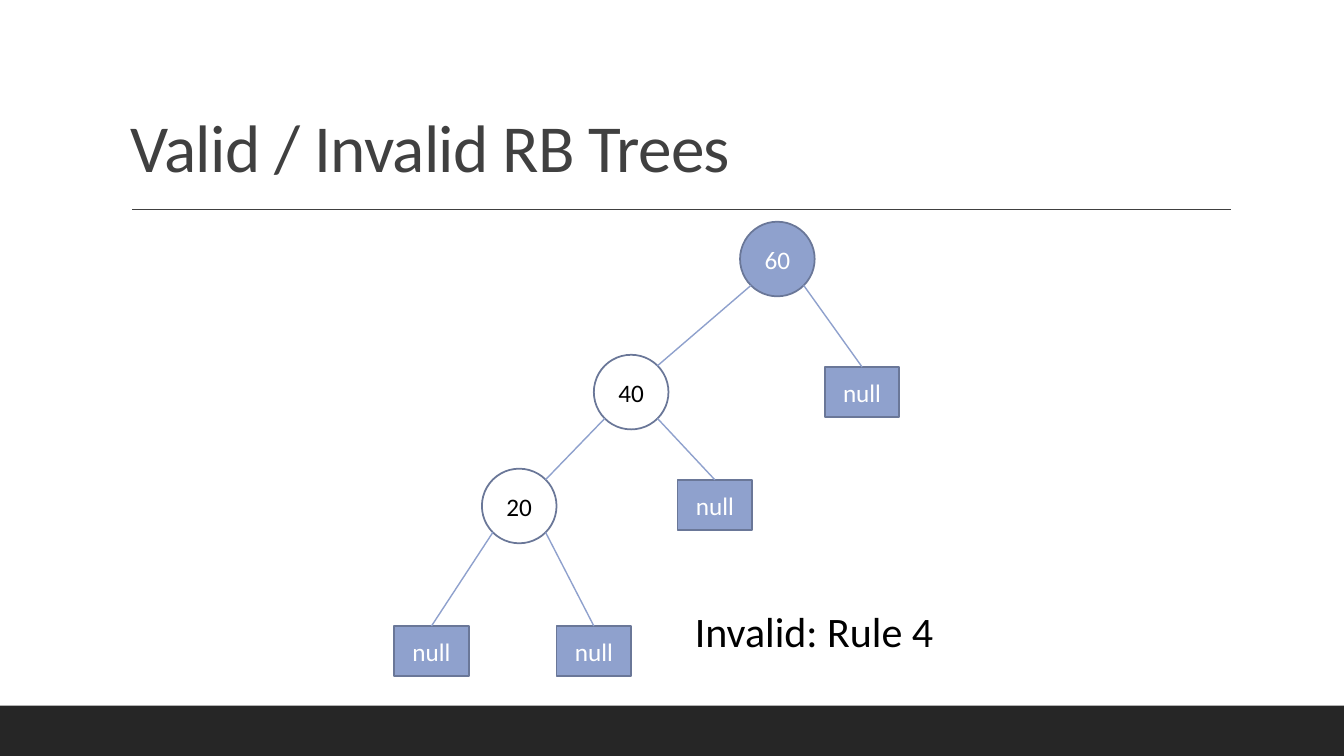
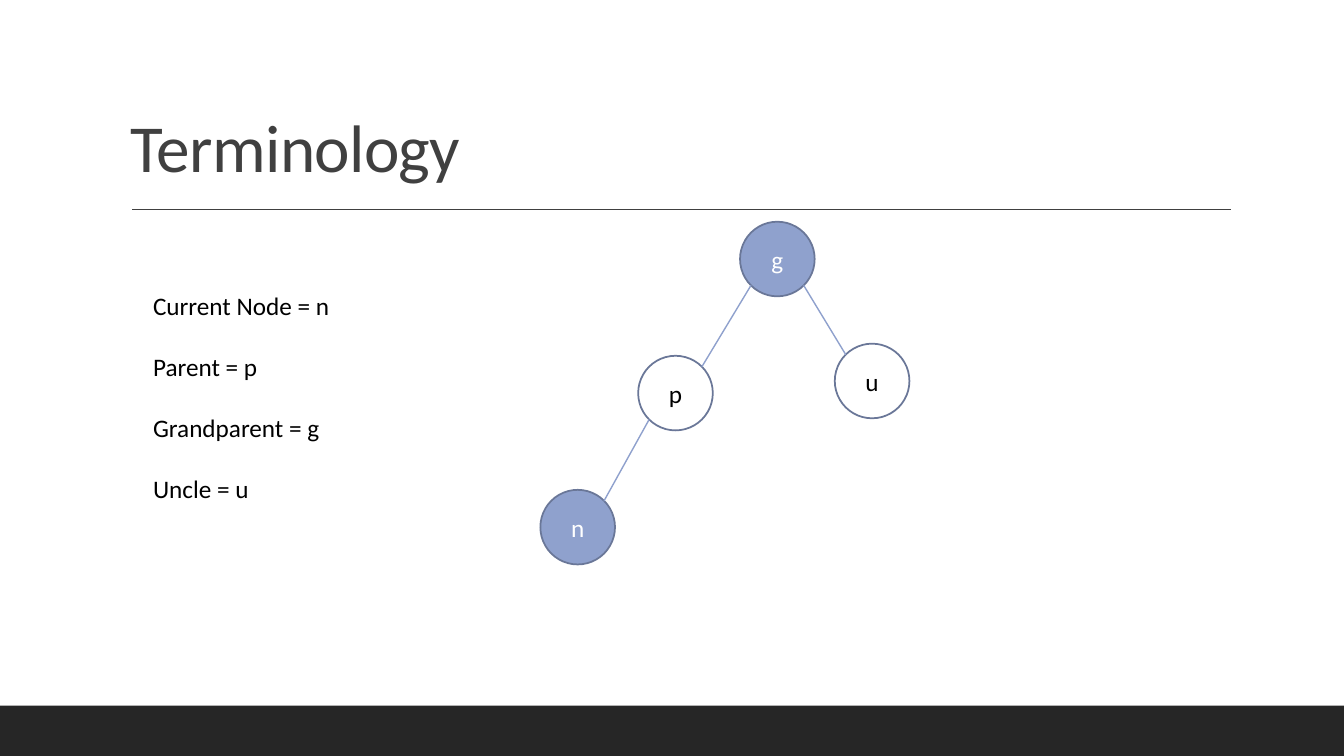
import math
import pptx
import pptx.util
import pptx.dml.color
import pptx.enum.shapes
import pptx.enum.text
import pptx.oxml.ns
import lxml.etree

Inches, Pt = pptx.util.Inches, pptx.util.Pt
RGBColor = pptx.dml.color.RGBColor
MSO_SHAPE = pptx.enum.shapes.MSO_SHAPE
ALIGN = pptx.enum.text.PP_ALIGN
ANCHOR = pptx.enum.text.MSO_ANCHOR
qn = pptx.oxml.ns.qn

WHITE = RGBColor(0xFF, 0xFF, 0xFF)
BLACK = RGBColor(0x00, 0x00, 0x00)
BAND = RGBColor(0x26, 0x26, 0x26)
TITLE = RGBColor(0x40, 0x40, 0x40)
NODE = RGBColor(0x8F, 0xA1, 0xCD)
OUTLINE = RGBColor(0x6A, 0x77, 0x98)

FONT = "Calibri"
NODE_SIZE = 0.74
NULL_HEIGHT = 0.5
# Connection sites of an ellipse (corners) and a rectangle (top)
TOP_LEFT, BOTTOM_LEFT, BOTTOM_RIGHT, TOP_RIGHT = 1, 3, 5, 7
RECT_TOP = 0

# Content: nodes are key: (label, kind, left, top); edges are (parent, child)
SLIDES = [
    {
        "title": "Valid / Invalid RB Trees",
        "nodes": {
            "40": ("40", "red", 5.89, 3.52),
            "20": ("20", "red", 4.78, 4.65),
            "60": ("60", "black", 7.34, 2.2),
            "20 left": ("null", "null", 3.91, 6.21),
            "20 right": ("null", "null", 5.52, 6.21),
            "60 right": ("null", "null", 8.18, 3.64),
            "40 right": ("null", "null", 6.72, 4.76),
        },
        "edges": [("60", "40"), ("60", "60 right"), ("40", "20"),
                  ("40", "40 right"), ("20", "20 left"), ("20", "20 right")],
        "note": {"lines": ["Invalid: Rule 4"], "box": (5.43, 5.96, 5.29, 0.61),
                 "size": 30, "align": ALIGN.CENTER},
    },
    {
        "title": "Terminology",
        "nodes": {
            "p": ("p", "red", 6.33, 3.53),
            "n": ("n", "black", 5.36, 4.86),
            "g": ("g", "black", 7.34, 2.2),
            "u": ("u", "red", 8.28, 3.41),
        },
        "edges": [("g", "p"), ("g", "u"), ("p", "n")],
        "note": {"lines": ["Current Node = n", "Parent = p",
                           "Grandparent = g", "Uncle = u"],
                 "box": (1.42, 2.83, 2.94, 2.22), "size": 18, "gap": 22},
    },
]

# Kind of node: preset, height, fill, text colour
KINDS = {
    "red": (MSO_SHAPE.OVAL, NODE_SIZE, None, BLACK),
    "black": (MSO_SHAPE.OVAL, NODE_SIZE, NODE, WHITE),
    "null": (MSO_SHAPE.RECTANGLE, NULL_HEIGHT, NODE, WHITE),
}


def apply(target, values):
    for name, value in values.items():
        setattr(target, name, value)


def write(shape, lines, size, color, align=ALIGN.LEFT, anchor=ANCHOR.TOP,
          gap=0, line_spacing=1.0):
    frame = shape.text_frame
    apply(frame, {"word_wrap": True, "vertical_anchor": anchor})
    for index, line in enumerate(lines):
        paragraph = frame.paragraphs[0] if index == 0 else frame.add_paragraph()
        apply(paragraph, {"alignment": align, "line_spacing": line_spacing,
                          "space_before": Pt(gap if index else 0)})
        run = paragraph.add_run()
        run.text = line
        apply(run.font, {"name": FONT, "size": Pt(size)})
        run.font.color.rgb = color


def add_box(slide, preset, box, fill, outline=None):
    shape = slide.shapes.add_shape(preset, *map(Inches, box))
    shape.shadow.inherit = False
    for part, color in ((shape.fill, fill), (shape.line.fill, outline)):
        if color is None:
            part.background()
        else:
            part.solid()
            part.fore_color.rgb = color
    if outline is not None:
        shape.line.width = Pt(1.25)
    return shape


def add_line(slide, start, end, color):
    line = slide.shapes.add_connector(
        pptx.enum.shapes.MSO_CONNECTOR.STRAIGHT, *map(Inches, start + end))
    line.line.color.rgb = color
    line.line.width = Pt(1)
    lxml.etree.SubElement(line.element.spPr, qn("a:effectLst"))
    return line


def add_frame(slide, title):
    """Footer band, rule and title shared by all slides."""
    add_box(slide, MSO_SHAPE.RECTANGLE, (0, 7, 13.33, 0.5), BAND)
    add_line(slide, (1.31, 2.08), (12.21, 2.08), TITLE)
    heading = slide.shapes.add_textbox(*map(Inches, (1.2, 0.31, 11, 1.59)))
    write(heading, [title], 48, TITLE, anchor=ANCHOR.BOTTOM, line_spacing=0.9)
    run = heading.text_frame.paragraphs[0].runs[0]
    run.font._element.set("spc", "-50")


def add_node(slide, label, kind, left, top):
    preset, height, fill, color = KINDS[kind]
    shape = add_box(slide, preset, (left, top, NODE_SIZE, height), fill, OUTLINE)
    write(shape, [label], 18, color, ALIGN.CENTER, ANCHOR.MIDDLE)
    return shape


def circle_point(node, side, direction):
    """Point on a circle at 45 degrees; side is -1 left, direction -1 up."""
    radius = NODE_SIZE / 2
    reach = radius * math.sqrt(0.5)
    return (node[2] + radius + side * reach,
            node[3] + radius + direction * reach)


def add_edge(slide, parent, child, parent_shape, child_shape):
    side = -1 if child[2] < parent[2] else 1
    start = circle_point(parent, side, 1)
    start_site = BOTTOM_LEFT if side < 0 else BOTTOM_RIGHT
    if child[1] == "null":
        end, end_site = (child[2] + NODE_SIZE / 2, child[3]), RECT_TOP
    else:
        end = circle_point(child, -side, -1)
        end_site = TOP_RIGHT if side < 0 else TOP_LEFT
    line = add_line(slide, start, end, NODE)
    # Attach both ends to their nodes
    ties = line.element.find(".//" + qn("p:cNvCxnSpPr"))
    for tag, shape, site in (("a:stCxn", parent_shape, start_site),
                             ("a:endCxn", child_shape, end_site)):
        lxml.etree.SubElement(ties, qn(tag), id=str(shape.shape_id), idx=str(site))


def add_note(slide, lines, box, size, **layout):
    note = slide.shapes.add_textbox(*map(Inches, box))
    write(note, lines, size, BLACK, **layout)


def main():
    deck = pptx.Presentation()
    apply(deck, {"slide_width": Inches(13.33), "slide_height": Inches(7.5)})
    for content in SLIDES:
        slide = deck.slides.add_slide(deck.slide_layouts[6])
        add_frame(slide, content["title"])
        nodes = content["nodes"]
        shapes = {key: add_node(slide, *node) for key, node in nodes.items()}
        for parent, child in content["edges"]:
            add_edge(slide, nodes[parent], nodes[child],
                     shapes[parent], shapes[child])
        add_note(slide, **content["note"])
    deck.save("out.pptx")


if __name__ == "__main__":
    main()
